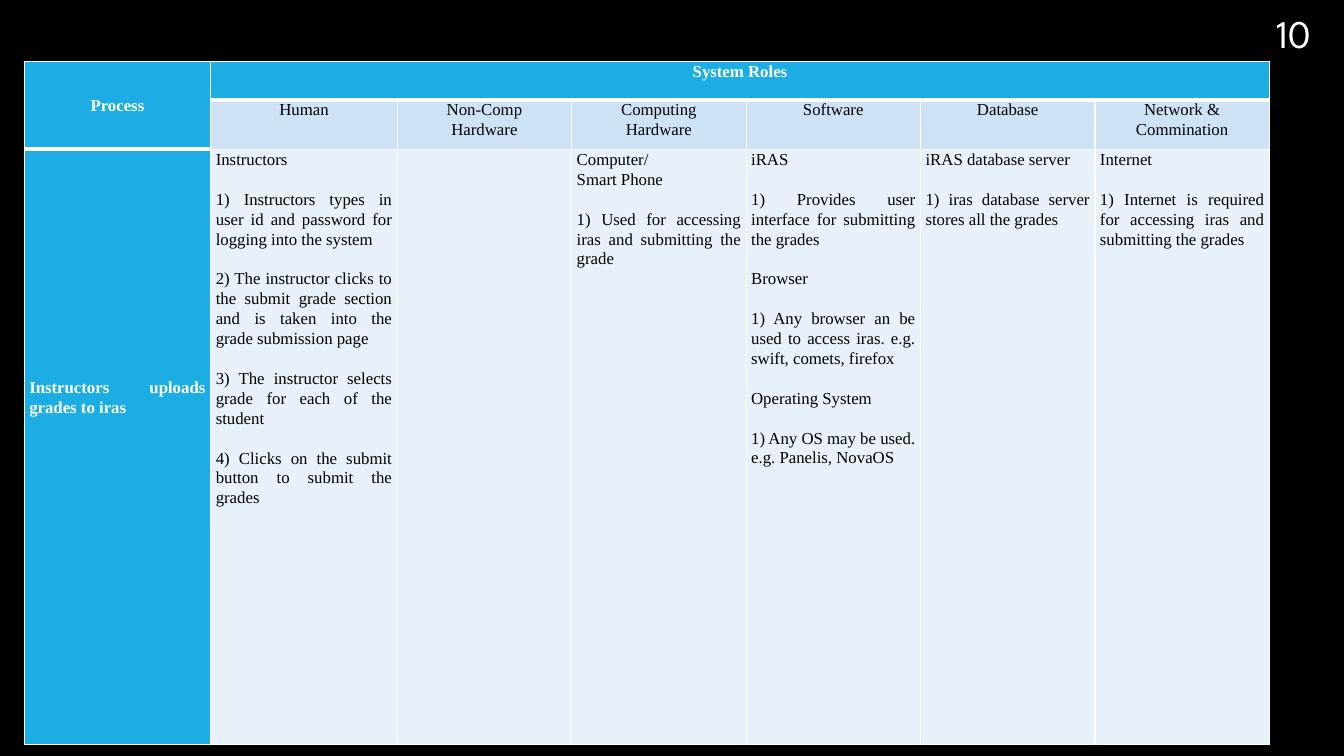
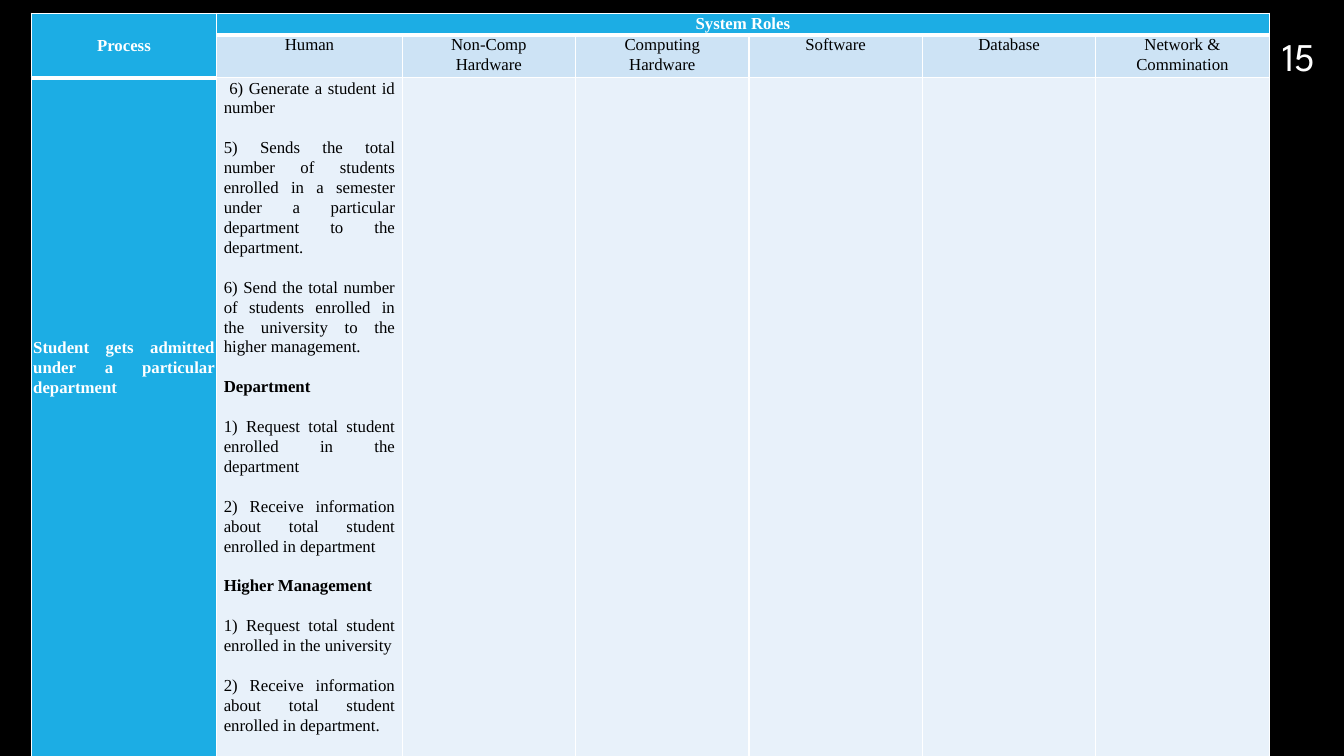
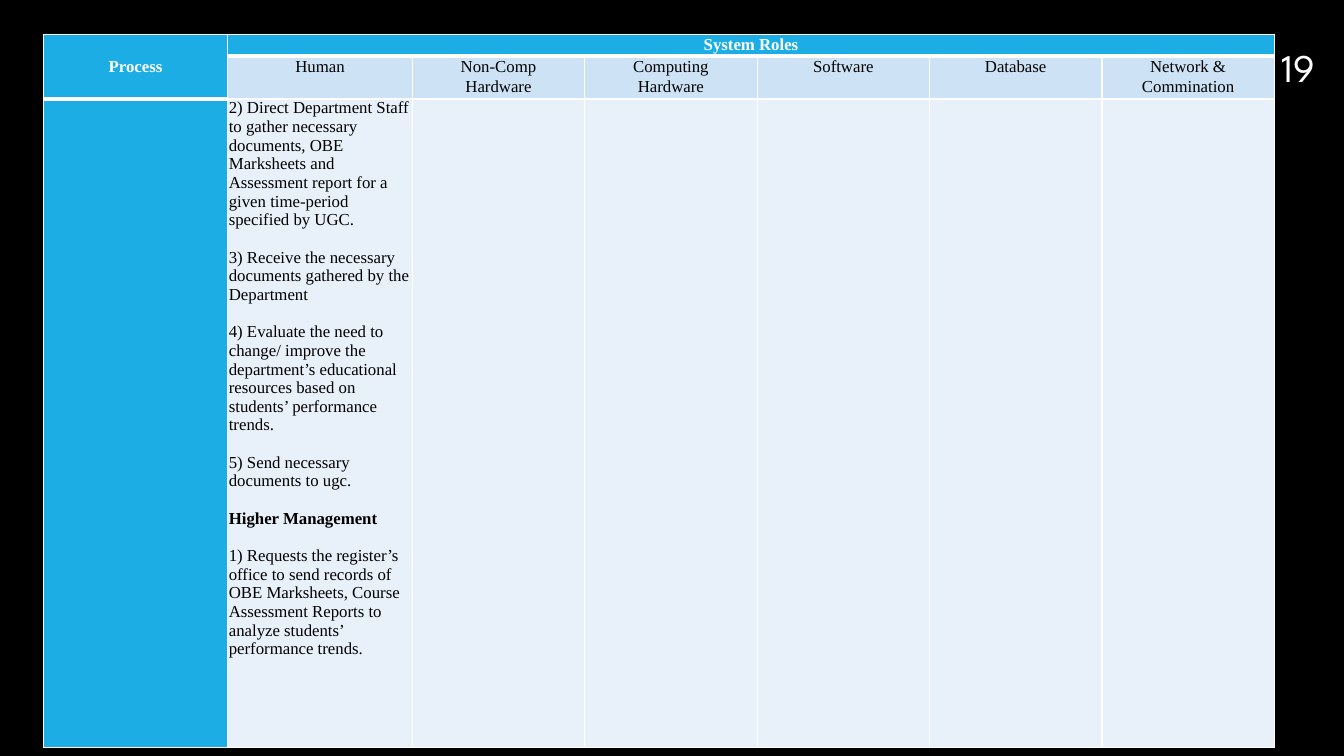
from lxml.etree import SubElement
from pptx import Presentation
from pptx.dml.color import RGBColor
from pptx.enum.text import MSO_ANCHOR, PP_ALIGN
from pptx.oxml.ns import qn
from pptx.util import Inches, Pt

BLACK = RGBColor(0x00, 0x00, 0x00)
WHITE = RGBColor(0xFF, 0xFF, 0xFF)
BLUE = RGBColor(0x1C, 0xAD, 0xE4)
PALE = RGBColor(0xCD, 0xE3, 0xF5)
MIST = RGBColor(0xE8, 0xF1, 0xFA)

SERIF = "Times New Roman"
SANS = "League Spartan"
SIZE = 12
LEAD = 1.07
LINE = 1.107  # natural line height of the serif face, in ems

ROLES = ["Human", "Non-Comp\nHardware", "Computing\nHardware",
         "Software", "Database", "Network &\nCommination"]
HEADS = {"Department", "Higher Management"}

# Each cell is a list of blocks set one blank line apart.
GRADES = [
    ["Instructors",
     "1) Instructors types in user id and password for logging into the system",
     "2) The instructor clicks to the submit grade section and is taken into "
     "the grade submission page",
     "3) The instructor selects grade for each of the student",
     "4) Clicks on the submit button to submit the grades"],
    [],
    ["Computer/\nSmart Phone",
     "1) Used for accessing iras and submitting the grade"],
    ["iRAS",
     "1) Provides user interface for submitting the grades",
     "Browser",
     "1) Any browser an be used to access iras. e.g. swift, comets, firefox",
     "Operating System",
     "1) Any OS may be used. e.g. Panelis, NovaOS"],
    ["iRAS database server",
     "1) iras database server stores all the grades"],
    ["Internet",
     "1) Internet is required for accessing iras and submitting the grades"],
]
ADMIT = [
    [" 6) Generate a student id number",
     "5) Sends the total number of students enrolled in a semester under a "
     "particular department to the department.",
     "6) Send the total number of students enrolled in the university to the "
     "higher management.",
     "Department",
     "1) Request total student enrolled in the department",
     "2) Receive information about total student enrolled in department",
     "Higher Management",
     "1) Request total student enrolled in the university",
     "2) Receive information about total student enrolled in department."],
]
TRENDS = [
    ["2) Direct Department Staff to gather necessary documents, OBE Marksheets "
     "and Assessment report for a given time-period specified by UGC.",
     "3) Receive the necessary documents gathered by the Department",
     "4) Evaluate the need to change/ improve the department’s educational "
     "resources based on students’ performance trends.",
     "5) Send necessary documents to ugc.",
     "Higher Management",
     "1) Requests the register’s office to send records of OBE Marksheets, "
     "Course Assessment Reports to analyze students’ performance trends."],
]


def style(run, font, size, color, bold=False):
    run.font.name = font
    run.font.size = Pt(size)
    run.font.color.rgb = color
    run.font.bold = bold


def paint(cell, color, foot=1):
    """Give the cell white borders, the lower one foot points wide, and a fill."""
    props = cell._tc.get_or_add_tcPr()
    for side, width in (("L", 1), ("R", 1), ("T", 1), ("B", foot)):
        edge = SubElement(props, qn(f"a:ln{side}"), w=str(Pt(width)))
        solid = SubElement(edge, qn("a:solidFill"))
        SubElement(solid, qn("a:srgbClr"), val=str(WHITE))
    cell.fill.solid()
    cell.fill.fore_color.rgb = color


def write(cell, blocks, pad, align, color=BLACK, bold=False, lead=LEAD):
    cell.margin_left = cell.margin_right = Inches(pad)
    cell.margin_top = cell.margin_bottom = 0
    frame = cell.text_frame
    for i, block in enumerate(blocks):
        for j, line in enumerate(block.split("\n")):
            first = i == j == 0
            para = frame.paragraphs[0] if first else frame.add_paragraph()
            para.alignment = align
            para.line_spacing = lead
            if i and not j:
                para.space_before = Pt(round(SIZE * LINE * lead, 1))
            run = para.add_run()
            run.text = line
            style(run, SERIF, SIZE, color, bold or line in HEADS)


def add_number(slide, text, box):
    frame = slide.shapes.add_textbox(*map(Inches, box)).text_frame
    frame.word_wrap = True
    frame.vertical_anchor = MSO_ANCHOR.BOTTOM
    para = frame.paragraphs[0]
    para.alignment = PP_ALIGN.CENTER
    run = para.add_run()
    run.text = text
    style(run, SANS, 28, WHITE)


def add_roles(slide, spot, wide, slim, rows, pad, task, cells,
              inset=None, lift=0, align=PP_ALIGN.JUSTIFY, lead=LEAD):
    """Add the table of roles; lift raises the task by half that many lines."""
    cols = [wide] * 2 + [slim] * 5
    box = (*spot, sum(cols), sum(rows))
    table = slide.shapes.add_table(3, 7, *map(Inches, box)).table
    table.first_row = table.horz_banding = False
    for col, width in zip(table.columns, cols):
        col.width = Inches(width)
    for row, height in zip(table.rows, rows):
        row.height = Inches(height)

    for r, fill in enumerate((BLUE, PALE, MIST)):
        for c in range(7):
            head = r == 0 or (r == 1 and c == 0)
            paint(table.cell(r, c), fill if c else BLUE, 3 if head else 1)
    process, title, job = table.cell(0, 0), table.cell(0, 1), table.cell(2, 0)
    process.merge(table.cell(1, 0))
    title.merge(table.cell(0, 6))

    for cell, text in ((process, "Process"), (title, "System Roles")):
        write(cell, [text], pad, PP_ALIGN.CENTER, WHITE, True)
    process.vertical_anchor = job.vertical_anchor = MSO_ANCHOR.MIDDLE
    for c, role in enumerate(ROLES, 1):
        write(table.cell(1, c), [role], pad, PP_ALIGN.CENTER)
    if task:
        write(job, [task], pad, PP_ALIGN.JUSTIFY, WHITE, True)
        job.margin_bottom = Pt(round(lift * SIZE * LINE * LEAD))
    for c, blocks in enumerate(cells, 1):
        if blocks:
            write(table.cell(2, c), blocks, inset or pad, align, lead=lead)


def main():
    prs = Presentation()
    prs.slide_width, prs.slide_height = Inches(13.33), Inches(7.5)
    back = prs.slide_master.background.fill
    back.solid()
    back.fore_color.rgb = BLACK
    blank = prs.slide_layouts[6]

    slide = prs.slides.add_slide(blank)
    add_number(slide, "10", (12.49, 0, 0.68, 0.61))
    add_roles(slide, (0.24, 0.61), 1.85, 1.73, (0.38, 0.49, 5.91), 0.05,
              "Instructors uploads grades to iras", GRADES, lift=5)

    slide = prs.slides.add_slide(blank)
    add_number(slide, "15", (12.42, 0, 0.92, 0.84))
    add_roles(slide, (0.31, 0.13), 1.84, 1.72, (0.2, 0.41, 6.44), 0.02,
              "Student gets admitted under a particular department", ADMIT,
              inset=0.07, lift=6)

    slide = prs.slides.add_slide(blank)
    add_number(slide, "19", (12.42, 0.11, 0.92, 0.84))
    add_roles(slide, (0.43, 0.34), 1.83, 1.71, (0.19, 0.4, 6.43), 0.01,
              "", TRENDS, align=PP_ALIGN.LEFT, lead=1.0)

    prs.save("out.pptx")


if __name__ == "__main__":
    main()
